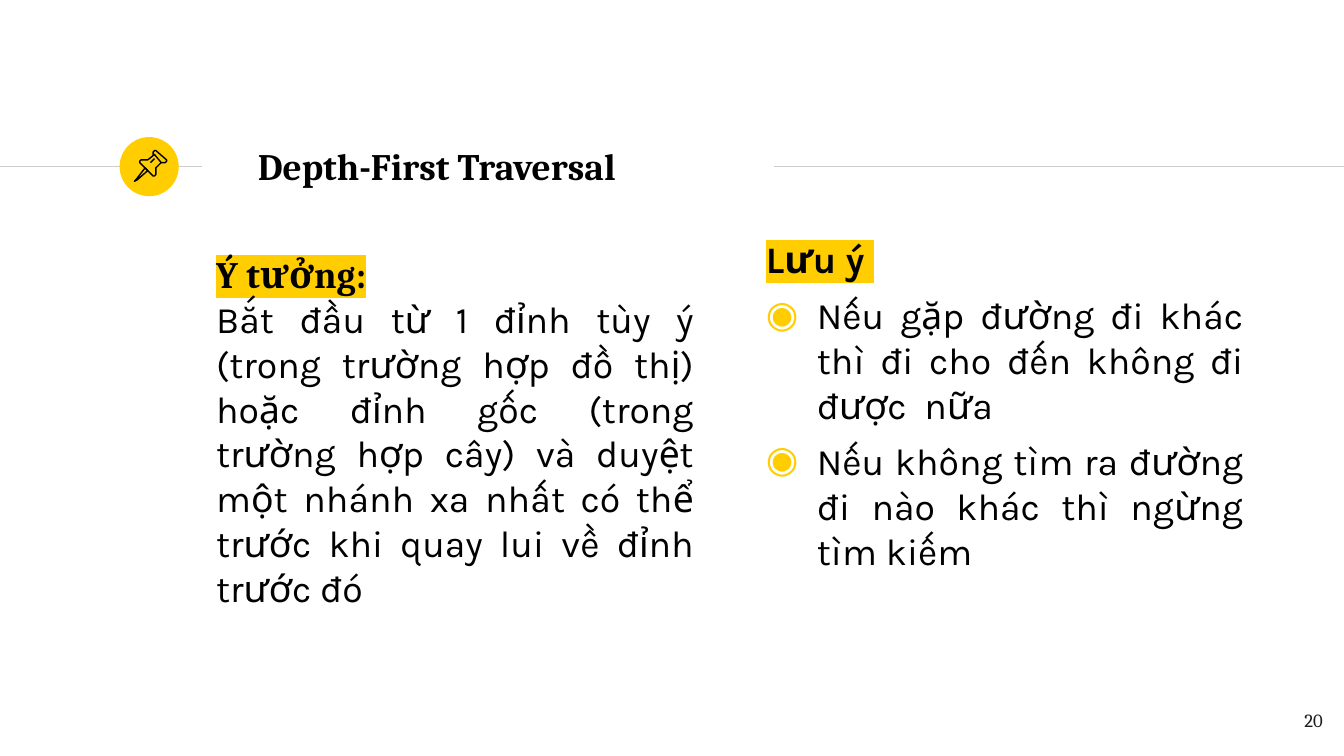
from lxml import etree
from pptx import Presentation
from pptx.dml.color import RGBColor
from pptx.enum.shapes import MSO_CONNECTOR, MSO_SHAPE
from pptx.enum.text import MSO_ANCHOR, PP_ALIGN
from pptx.oxml.ns import qn
from pptx.util import Inches, Pt

BLACK = RGBColor(0, 0, 0)
INK = RGBColor(0x1D, 0x1D, 0x1B)
GRAY = RGBColor(0xCC, 0xCC, 0xCC)
YELLOW = RGBColor(0xFF, 0xCD, 0x00)

deck = Presentation()
deck.slide_width = Inches(10)
deck.slide_height = Inches(10) * 9 // 16
slide = deck.slides.add_slide(deck.slide_layouts[6])
shapes = slide.shapes


def add_box(left, top, width, height):
    """Add a wrapping text box and return its text frame."""
    box = shapes.add_textbox(Inches(left), Inches(top), Inches(width), Inches(height))
    frame = box.text_frame
    frame.word_wrap = True
    frame.margin_left = frame.margin_right = Inches(0.1)
    frame.margin_top = frame.margin_bottom = Inches(0.1)
    return frame


def write(par, text, face, size=20, color=BLACK, bold=False, marked=False):
    """Fill a paragraph with one run, on a yellow highlight if marked."""
    run = par.add_run()
    run.text = text
    if marked:
        mark = etree.SubElement(run._r.get_or_add_rPr(), qn("a:highlight"))
        etree.SubElement(mark, qn("a:srgbClr"), val=str(YELLOW))
    font = par.font
    font.name, font.size, font.bold = face, Pt(size), bold
    font.color.rgb = color


# Rule with the round badge
for start, end in [(0, 1.5), (5.76, 10)]:
    rule = shapes.add_connector(
        MSO_CONNECTOR.STRAIGHT, Inches(start), Inches(1.24), Inches(end), Inches(1.24))
    rule.line.color.rgb = GRAY
    rule.line.width = Pt(0.75)
    etree.SubElement(rule._element.spPr, qn("a:effectLst"))

badge = shapes.add_shape(
    MSO_SHAPE.OVAL, Inches(0.89), Inches(1.02), Inches(0.44), Inches(0.44))
badge.shadow.inherit = False
badge.fill.solid()
badge.fill.fore_color.rgb = YELLOW
badge.line.fill.background()

# Pushpin outlines, in hundredths of an inch: needle, cap, body, shine
pin = [
    ([(108, 125), (101, 134), (100, 135), (102, 134), (110, 127)], True),
    ([(115, 115), (120, 121), (121, 121), (122, 121), (123, 121), (124, 120),
      (124, 119), (116, 112), (115, 112), (114, 113), (114, 115)], True),
    ([(115, 115), (110, 119), (109, 119), (107, 119), (105, 119), (104, 120),
      (104, 121), (114, 131), (115, 131), (116, 130), (116, 128), (116, 125),
      (120, 121)], False),
    ([(112, 121), (115, 118)], False),
]
for points, closed in pin:
    path = shapes.build_freeform(*points[0], scale=Inches(0.01))
    path.add_line_segments(points[1:], close=closed)
    part = path.convert_to_shape()
    part.shadow.inherit = False
    part.fill.background()
    part.line.color.rgb = BLACK
    part.line.width = Pt(0.75)

# Title
title = add_box(1.82, 0.99, 4.18, 0.48)
title.vertical_anchor = MSO_ANCHOR.MIDDLE
write(title.paragraphs[0], "Depth-First Traversal", "Cambria", bold=True)

# Idea column
idea = add_box(1.51, 1.77, 3.75, 3.53)
write(idea.paragraphs[0], "Ý tưởng:", "Cambria", bold=True, marked=True)
par = idea.add_paragraph()
par.alignment = PP_ALIGN.JUSTIFY
write(par, "Bắt đầu từ 1 đỉnh tùy ý (trong trường hợp đồ thị) hoặc đỉnh gốc "
      "(trong trường hợp cây) và duyệt một nhánh xa nhất có thể trước khi "
      "quay lui về đỉnh trước đó", "Karla")

# Notes column
notes = add_box(5.6, 1.66, 3.75, 3.53)
write(notes.paragraphs[0], "Lưu ý ", "Karla", bold=True, marked=True)
for text in [
    "Nếu gặp đường đi khác thì đi cho đến không đi được  nữa",
    "Nếu không tìm ra đường đi nào khác thì ngừng tìm kiếm",
]:
    par = notes.add_paragraph()
    par.alignment = PP_ALIGN.JUSTIFY
    par.space_before = Pt(6)
    props = par._p.get_or_add_pPr()
    props.set("marL", str(Inches(0.38)))
    props.set("indent", str(-Inches(0.38)))
    tint = etree.SubElement(props, qn("a:buClr"))
    etree.SubElement(tint, qn("a:srgbClr"), val=str(YELLOW))
    etree.SubElement(props, qn("a:buFont"), typeface="Karla")
    etree.SubElement(props, qn("a:buChar"), char="◉")
    write(par, text, "Karla")

# Page number
page = add_box(9.34, 5.19, 0.6, 0.43)
page.paragraphs[0].alignment = PP_ALIGN.RIGHT
write(page.paragraphs[0], "20", "Cambria", size=10, color=INK)

deck.save("out.pptx")
